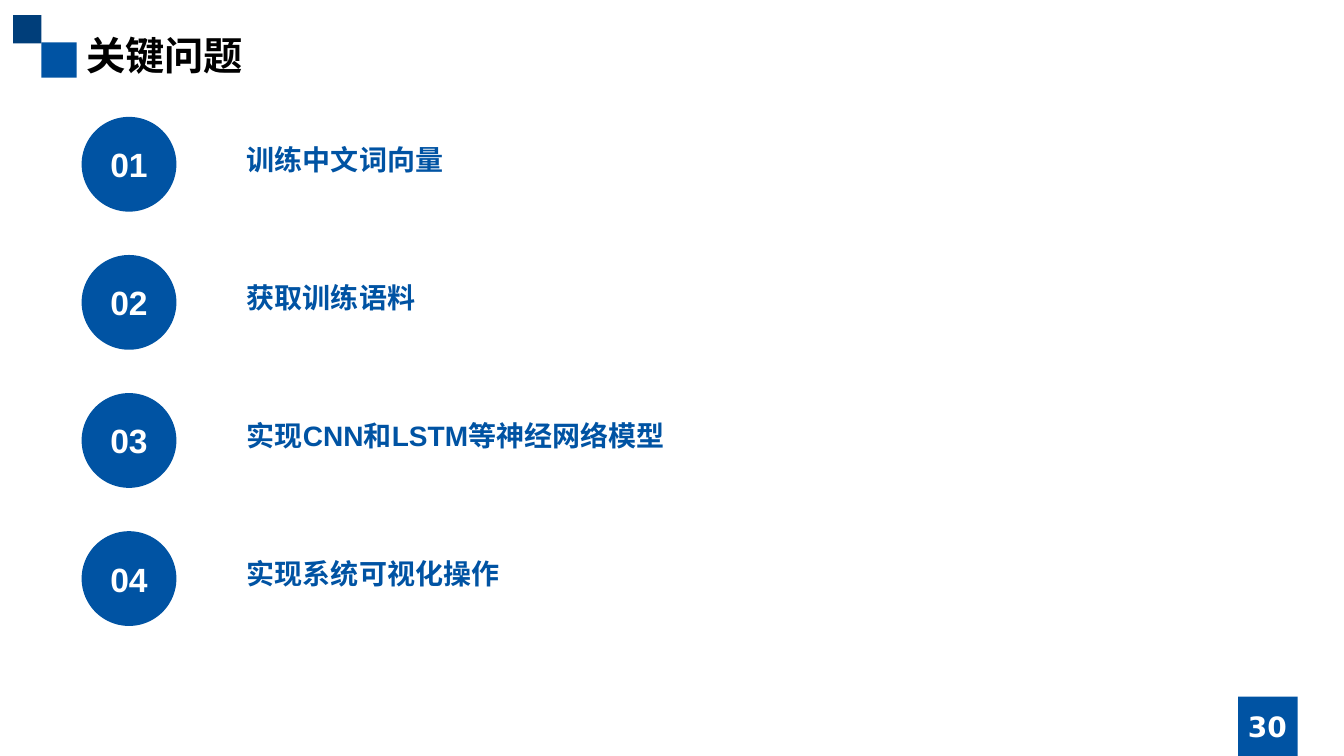
import pptx
import pptx.util
import pptx.dml.color
import pptx.enum.shapes
import pptx.enum.text
import lxml.etree

Inches = pptx.util.Inches
SHAPES = pptx.enum.shapes.MSO_SHAPE
ALIGN = pptx.enum.text.PP_ALIGN
ANCHOR = pptx.enum.text.MSO_ANCHOR
COLORS = {"blue": "0053A3", "navy": "003E7A", "black": "000000", "white": "FFFFFF"}
CJK_FONT = "Noto Sans CJK SC"
QUESTIONS = ["训练中文词向量", "获取训练语料", "实现CNN和LSTM等神经网络模型", "实现系统可视化操作"]


def rgb(name):
    return pptx.dml.color.RGBColor.from_string(COLORS[name])


def add_block(slide, kind, left, top, size, color):
    block = slide.shapes.add_shape(kind, Inches(left), Inches(top), Inches(size), Inches(size))
    block.shadow.inherit = False
    block.fill.solid()
    block.fill.fore_color.rgb = rgb(color)
    block.line.fill.background()
    return block


def write(holder, text, size, color, font, align=ALIGN.LEFT, anchor=ANCHOR.TOP, spacing=1.0):
    frame = holder.text_frame
    frame.word_wrap = True
    frame.vertical_anchor = anchor
    line = frame.paragraphs[0]
    line.alignment = align
    line.line_spacing = spacing
    run = line.add_run()
    run.text = text
    for name, value in {"size": pptx.util.Pt(size), "bold": True, "name": font}.items():
        setattr(run.font, name, value)
    run.font.color.rgb = rgb(color)
    properties = run.font._element
    east_asian = lxml.etree.SubElement(properties, pptx.oxml.ns.qn("a:ea"))
    east_asian.set("typeface", CJK_FONT)


def add_label(slide, left, top, width, height, text, size, color, font, **layout):
    label = slide.shapes.add_textbox(Inches(left), Inches(top), Inches(width), Inches(height))
    write(label, text, size, color, font, **layout)


def add_header(slide, left, top, title):
    add_block(slide, SHAPES.RECTANGLE, left + 0.28, top + 0.27, 0.35, "blue")
    add_block(slide, SHAPES.RECTANGLE, left, top, 0.28, "navy")
    add_label(slide, left + 0.63, top + 0.16, 11.81, 0.6, title, 28, "black", CJK_FONT, spacing=0.9)


def add_page_number(slide, left, top, number):
    add_block(slide, SHAPES.RECTANGLE, left, top, 0.59, "blue")
    add_label(slide, left - 0.47, top + 0.1, 1.52, 0.4, number, 20, "white", "DejaVu Sans",
              align=ALIGN.CENTER, anchor=ANCHOR.MIDDLE)


def add_questions(slide, left, top, pitch, questions):
    for index, question in enumerate(questions):
        row_top = top + index * pitch
        badge = add_block(slide, SHAPES.OVAL, left, row_top, 0.94, "blue")
        write(badge, f"{index + 1:02d}", 24, "white", "Arial",
              align=ALIGN.CENTER, anchor=ANCHOR.MIDDLE)
        add_label(slide, left + 1.54, row_top + 0.24, 10.83, 0.46, question, 20, "blue", "Arial",
                  spacing=0.9)


def main():
    deck = pptx.Presentation()
    deck.slide_width = Inches(13.33)
    deck.slide_height = Inches(7.5)
    slide = deck.slides.add_slide(deck.slide_layouts[6])
    add_header(slide, 0.13, 0.15, "关键问题")
    add_page_number(slide, 12.28, 6.91, "30")
    add_questions(slide, 0.81, 1.16, 1.37, QUESTIONS)
    deck.save("out.pptx")


if __name__ == "__main__":
    main()
